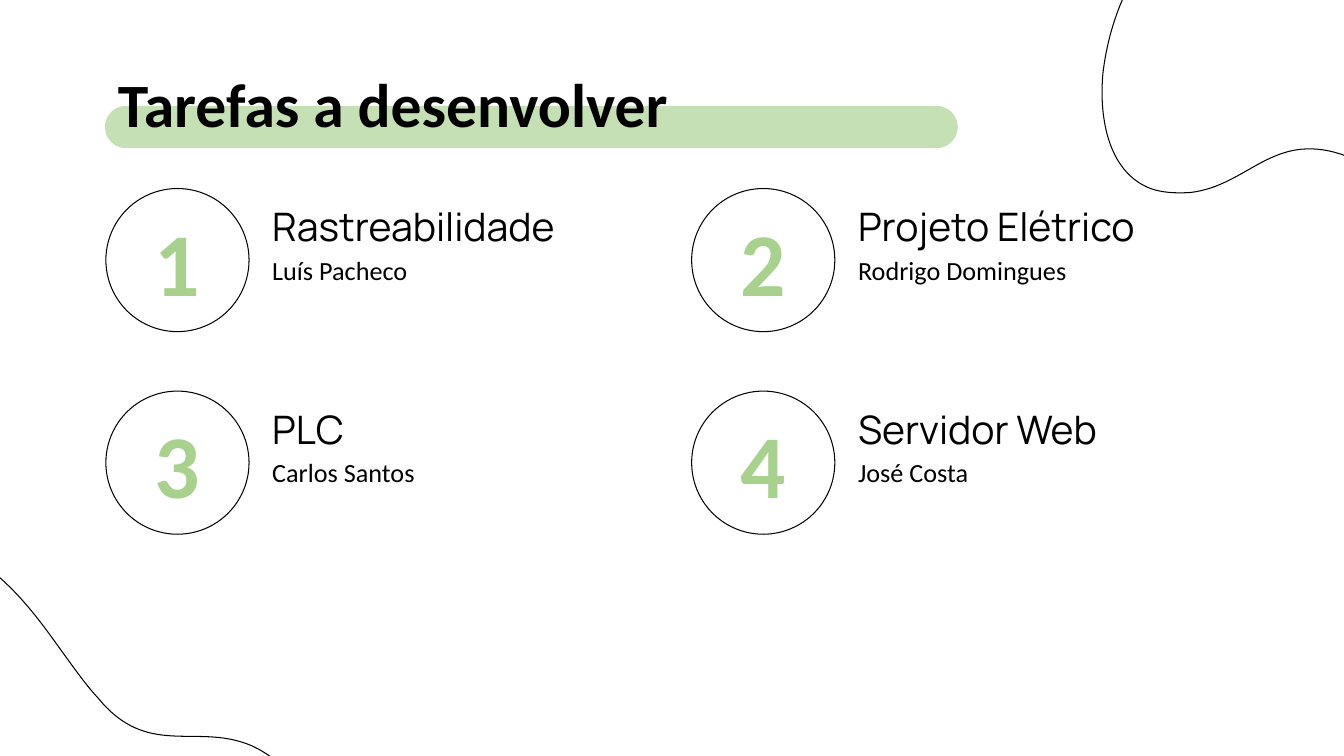
from dataclasses import dataclass
from pptx import Presentation
from pptx import util as u
from pptx.dml import color
from pptx.enum import shapes, text
from pptx.oxml import ns, xmlchemy as xml

PX = 9144
WIDE, HIGH = 1333, 750
HEAD = "Tarefas a desenvolver"
TASKS = [
    ("Rastreabilidade", "Luís Pacheco"),
    ("Projeto Elétrico", "Rodrigo Domingues"),
    ("PLC", "Carlos Santos"),
    ("Servidor Web", "José Costa"),
]
BLOBS = [
    [(1141, 187),
     (1152, 191), (1165, 192), (1181, 191),
     (1238, 184), (1262, 131), (1330, 153),
     (1336, 155), (1343, 158), (1349, 160),
     (1381, 172), (1408, 187), (1437, 198),
     (1470, 210), (1505, 219), (1550, 213),
     (1625, 202), (1657, 157), (1667, 94),
     (1685, -14), (1616, -95), (1516, -133),
     (1474, -149), (1425, -158), (1376, -158),
     (1219, -158), (1110, -61), (1094, 72),
     (1090, 112), (1097, 170), (1141, 187)],
    [(282, 764),
     (275, 755), (265, 747), (250, 740),
     (197, 717), (150, 751), (102, 698),
     (98, 693), (93, 688), (89, 683),
     (68, 657), (51, 630), (32, 607),
     (9, 579), (-17, 554), (-59, 537),
     (-129, 508), (-179, 532), (-219, 581),
     (-289, 666), (-270, 770), (-202, 853),
     (-173, 889), (-136, 920), (-93, 945),
     (43, 1023), (186, 994), (266, 887),
     (290, 854), (312, 800), (282, 764)],
]
GRID = {"cols": 2, "dx": 581, "dy": 201}
RING = (105, 187, 142, 142)
DIGIT = (111, 207, 129, 103)
NAME = (257, 188, 391, 54)
OWNER = (257, 239, 391, 89)
BAR = (104, 105, 846, 42)
TITLE = (104, 61, 716, 89)


@dataclass(frozen=True)
class Theme:
    ink: str = "000000"
    pale: str = "C5E0B4"
    leaf: str = "A9D18E"
    sans: str = "Calibri"
    wide: str = "Manrope"
    thin: float = 0.75
    big: float = 64
    head: float = 44
    mid: float = 28
    small: float = 18.7


T = Theme()
LEFT, MID = text.PP_ALIGN.LEFT, text.PP_ALIGN.CENTER
TOP, CORE = text.MSO_ANCHOR.TOP, text.MSO_ANCHOR.MIDDLE
STYLES = {
    "title": dict(font=T.sans, size=T.head, ink=T.ink, bold=True, align=LEFT, anchor=TOP, line=0.9),
    "digit": dict(font=T.sans, size=T.big, ink=T.leaf, bold=True, align=MID, anchor=CORE, line=1.0),
    "name": dict(font=T.wide, size=T.mid, ink=T.ink, bold=False, align=LEFT, anchor=TOP, line=1.0),
    "owner": dict(font=T.sans, size=T.small, ink=T.ink, bold=False, align=LEFT, anchor=TOP, line=1.0),
}


def rgb(code):
    return color.RGBColor.from_string(code)


def emu(box):
    return [v * PX for v in box]


def apply(item, vals):
    for key, val in vals.items():
        setattr(item, key, val)


def write(shape, box, words, kind):
    look = STYLES[kind]
    apply(shape, dict(zip(("left", "top", "width", "height"), emu(box))))
    frame = shape.text_frame
    frame.text = words
    pad = 13 * PX
    apply(frame, {
        "word_wrap": True, "auto_size": text.MSO_AUTO_SIZE.NONE,
        "vertical_anchor": look["anchor"], "margin_left": pad,
        "margin_right": pad, "margin_top": pad, "margin_bottom": pad,
    })
    para = frame.paragraphs[0]
    apply(para, {"alignment": look["align"], "line_spacing": look["line"], "space_before": u.Pt(0)})
    prop = para._p.get_or_add_pPr()
    prop.set("marL", "0")
    prop.set("indent", "0")
    prop.append(xml.OxmlElement("a:buNone"))
    font = para.runs[0].font
    apply(font, {"name": look["font"], "size": u.Pt(look["size"]), "bold": look["bold"]})
    font.color.rgb = rgb(look["ink"])


def outline(shape):
    shape.shadow.inherit = False
    shape.fill.background()
    shape.line.color.rgb = rgb(T.ink)
    shape.line.width = u.Pt(T.thin)


def blob(parts, knots):
    pen = parts.build_freeform(*knots[0], scale=PX)
    pen.add_line_segments(knots[1:], close=True)
    shape = pen.convert_to_shape()
    lines = list(shape.element.iter(ns.qn("a:lnTo")))
    for i in range(0, len(lines), 3):
        bend = xml.OxmlElement("a:cubicBezTo")
        lines[i].addprevious(bend)
        for line in lines[i:i + 3]:
            bend.append(line[0])
            line.getparent().remove(line)
    outline(shape)


def main():
    deck = Presentation()
    deck.slide_width, deck.slide_height = emu((WIDE, HIGH))
    slide = deck.slides.add_slide(deck.slide_layouts[4])
    parts = slide.shapes
    title = parts.title
    slots = [p for p in slide.placeholders if p.placeholder_format.idx in range(1, 5)]

    for knots in BLOBS:
        blob(parts, knots)

    for i, (name, owner) in enumerate(TASKS):
        row, col = divmod(i, GRID["cols"])

        def place(box):
            x, y, w, h = box
            return x + col * GRID["dx"], y + row * GRID["dy"], w, h

        outline(parts.add_shape(shapes.MSO_SHAPE.OVAL, *emu(place(RING))))
        write(parts.add_textbox(0, 0, 0, 0), place(DIGIT), str(i + 1), "digit")
        write(slots[i], place(NAME), name, "name")
        write(parts.add_textbox(0, 0, 0, 0), place(OWNER), owner, "owner")

    bar = parts.add_shape(shapes.MSO_SHAPE.ROUNDED_RECTANGLE, *emu(BAR))
    bar.adjustments[0] = 0.5
    bar.shadow.inherit = False
    bar.fill.solid()
    bar.fill.fore_color.rgb = rgb(T.pale)
    bar.line.fill.background()
    title.element.addprevious(bar.element)
    write(title, TITLE, HEAD, "title")
    deck.save("out.pptx")


if __name__ == "__main__":
    main()
